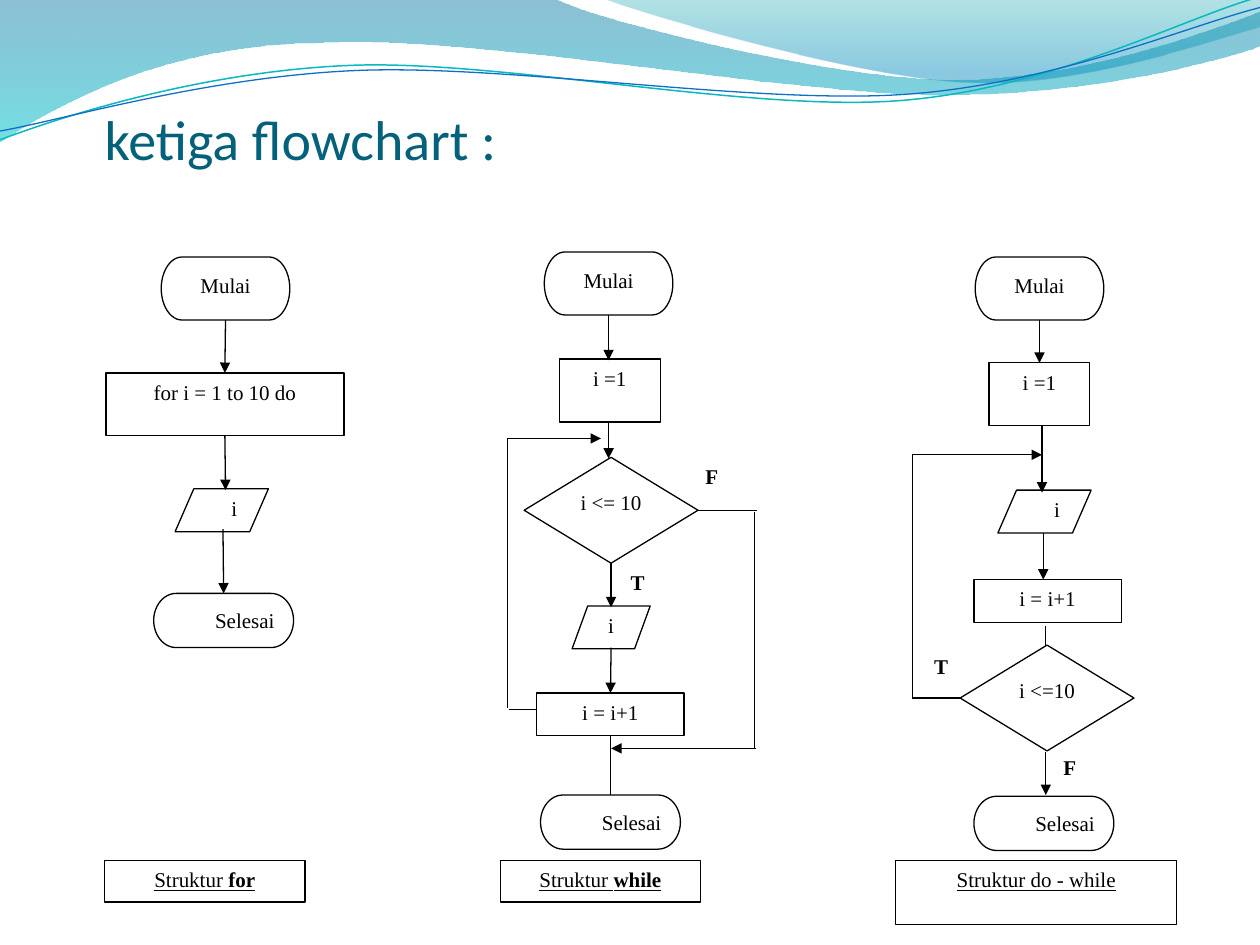
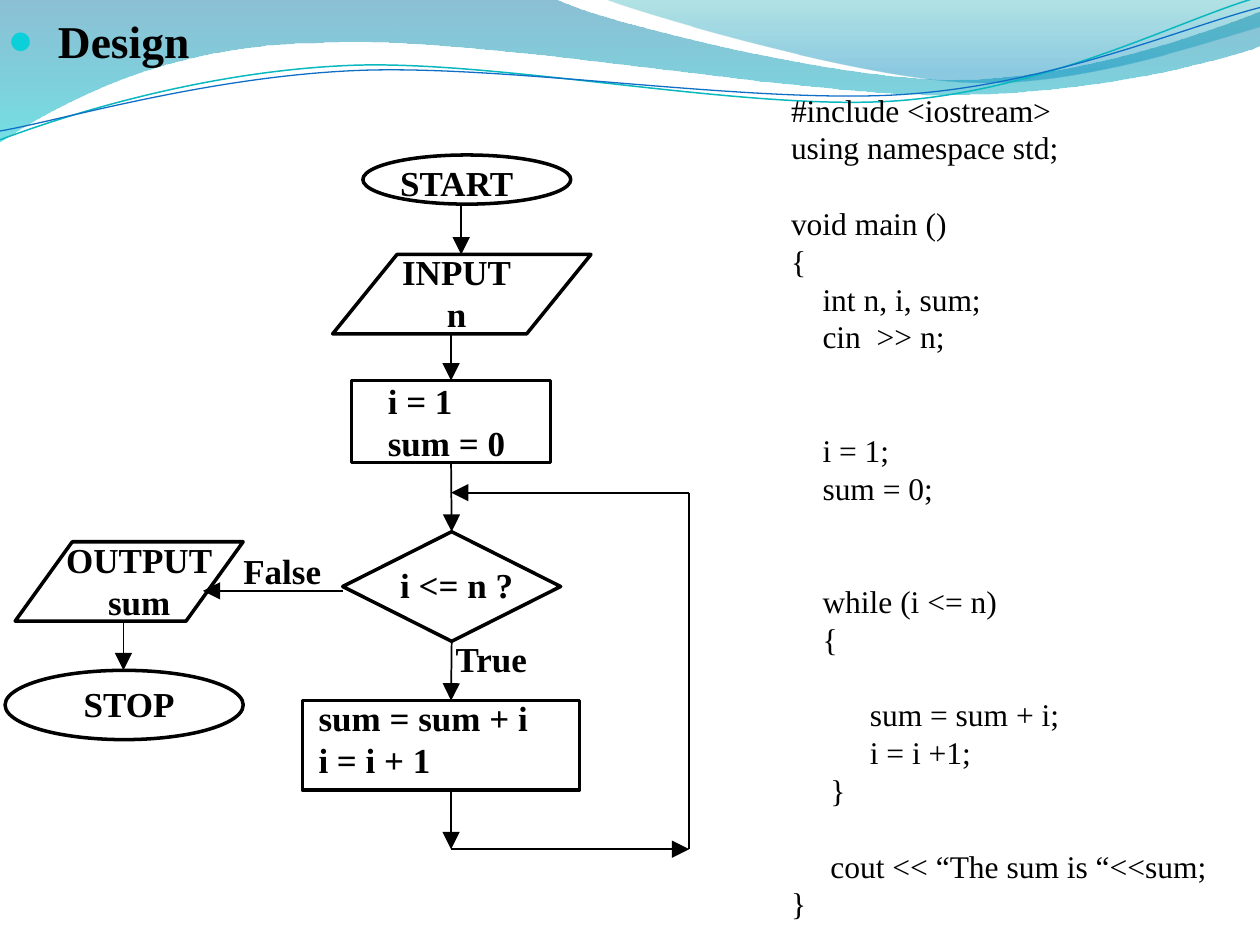
"""Build two slides of loop flowcharts on a shared wave background."""
from lxml import etree
from pptx import Presentation
from pptx.dml.color import RGBColor
from pptx.enum.shapes import MSO_CONNECTOR, MSO_SHAPE
from pptx.enum.text import MSO_ANCHOR, PP_ALIGN
from pptx.oxml.ns import qn
from pptx.util import Inches, Pt

C = {
    "ink": "000000", "paper": "FFFFFF", "title": "04617B", "bullet": "0BD0D9",
    "deep": "0074A1", "aqua": "00C6CF", "teal": "00A1A9", "sky": "008BBF",
    "wave_teal": "0AB8BF", "wave_blue": "0F6FC6",
}
RGB = {name: RGBColor.from_string(value) for name, value in C.items()}
SERIF = "Times New Roman"
LEFT, CENTER, RIGHT = PP_ALIGN.LEFT, PP_ALIGN.CENTER, PP_ALIGN.RIGHT
END, IO = MSO_SHAPE.FLOWCHART_TERMINATOR, MSO_SHAPE.FLOWCHART_DATA
TEST, STEP = MSO_SHAPE.FLOWCHART_DECISION, MSO_SHAPE.FLOWCHART_PROCESS
RECT = MSO_SHAPE.RECTANGLE


def format_text(tf, size, bold=None, align=LEFT, color="ink", font=SERIF, spacing=None):
    tf.word_wrap = True
    for p in tf.paragraphs:
        p.alignment = align
        if spacing:
            p.line_spacing = Pt(spacing)
        for r in p.runs:
            r.font.size, r.font.name = Pt(size), font
            r.font.color.rgb = RGB[color]
            if bold is not None:
                r.font.bold = bold


def add_line(s, nodes, start, end, width, head=None):
    ends = [(0, 0) if isinstance(e[0], str) else e for e in (start, end)]
    c = s.shapes.add_connector(MSO_CONNECTOR.STRAIGHT, *[Inches(v) for e in ends for v in e])
    if isinstance(start[0], str):
        c.begin_connect(nodes[start[0]], start[1])
    if isinstance(end[0], str):
        c.end_connect(nodes[end[0]], end[1])
    c.line.color.rgb, c.line.width = RGB["ink"], Pt(width)
    if head:
        etree.SubElement(c.line._get_or_add_ln(), qn("a:tailEnd"),
                         type="triangle", w=head, len=head)
    etree.SubElement(c.element.spPr, qn("a:effectLst"))


prs = Presentation()
prs.slide_width, prs.slide_height = Inches(10), Inches(7.5)

s = prs.slides.add_slide(prs.slide_layouts[5])
waves = [
    ([(0, -0.01), (4.4, -0.01), (4.76, 0.17, 6.64, 0.63, 7.58, 0.63),
      (8.53, 0.63, 9.58, 0.26, 10, 0.09), (10.01, 0.36),
      (9.83, 0.44, 8.7, 0.76, 7.46, 0.75), (6.22, 0.75, 3.82, 0.28, 2.57, 0.34),
      (1.29, 0.35, 0.46, 0.83, -0.01, 1.13)],
     [("deep", 0, 45), ("aqua", 1, 55)], None),
    ([(4.79, -0.01), (5.09, 0.11, 6.82, 0.62, 7.69, 0.65),
      (8.56, 0.69, 9.61, 0.32, 10, 0.21), (10, 0)],
     [("teal", 0, 30), ("sky", 0.8, 45)], None),
    ([(0, 1.11), (0.48, 0.93, 1.58, 0.57, 2.77, 0.52),
      (3.95, 0.47, 5.93, 0.89, 7.13, 0.8), (8.33, 0.71, 9.38, 0.15, 9.98, -0.02)],
     None, ("wave_teal", 0.85)),
    ([(0, 1.04), (0.47, 0.96, 1.64, 0.61, 2.83, 0.56),
      (4.03, 0.51, 5.97, 0.83, 7.17, 0.75), (8.36, 0.67, 9.41, 0.21, 10, 0.06)],
     None, ("wave_blue", 0.75)),
]
for i, (parts, stops, stroke) in enumerate(waves):
    points = [(x * 1000, y * 1000) for part in parts for x, y in zip(part[::2], part[1::2])]
    fb = s.shapes.build_freeform(*points[0], scale=914.4)
    fb.add_line_segments(points[1:], close=bool(stops))
    wave = fb.convert_to_shape()
    outline = wave.element.spPr.find(".//" + qn("a:path"))
    segments = iter(list(outline)[1:])
    for part in parts[1:]:
        segment = next(segments)
        if len(part) == 6:
            segment.tag = qn("a:cubicBezTo")
            for _ in range(2):
                control = next(segments)
                segment.append(control[0])
                outline.remove(control)
    wave.shadow.inherit = False
    if stops:
        wave.line.fill.background()
        wave.fill.gradient()
        wave.fill.gradient_angle = 270
        for stop, (color, position, alpha) in zip(wave.fill.gradient_stops, stops):
            stop.color.rgb, stop.position = RGB[color], position
        for clr, stop in zip(wave.element.spPr.iter(qn("a:srgbClr")), stops):
            etree.SubElement(clr, qn("a:alpha"), val=str(stop[2] * 1000))
    else:
        wave.fill.background()
        wave.line.color.rgb, wave.line.width = RGB[stroke[0]], Pt(stroke[1])
    wave.element[0][0].set("id", str(20 + i))
    prs.slide_master.shapes.element.insert(2 + i, wave.element)

title = s.shapes.title
title.left, title.top, title.width, title.height = [Inches(v) for v in (0.83, 0.72, 8.93, 0.64)]
tf = title.text_frame
tf.text = "ketiga flowchart :"
tf.vertical_anchor = MSO_ANCHOR.BOTTOM
tf.margin_left = tf.margin_right = tf.margin_bottom = 0
format_text(tf, 32, color="title", font="Calibri")

add_line(s, {}, (8.3, 4.97), (8.3, 5.47), 0.75, "med")
steps = [
    ("for_start", END, 1.28, 2.04, 1.02, 0.5, "Mulai", CENTER),
    ("for_loop", RECT, 0.84, 2.96, 1.89, 0.5, "for i = 1 to 10 do", CENTER),
    ("for_print", IO, 1.39, 3.88, 0.74, 0.34, "i", RIGHT),
    ("for_end", END, 1.22, 4.71, 1.11, 0.43, "Selesai", RIGHT),
    ("while_start", END, 4.32, 2, 1.02, 0.5, "Mulai", CENTER),
    ("while_init", RECT, 4.44, 2.85, 0.8, 0.5, "i =1", CENTER),
    ("while_test", TEST, 4.16, 3.63, 1.38, 0.84, "i <= 10", CENTER),
    ("while_print", IO, 4.54, 4.81, 0.62, 0.34, "i", CENTER),
    ("while_next", STEP, 4.26, 5.5, 1.17, 0.34, "i = i+1", CENTER),
    ("while_end", END, 4.29, 6.31, 1.11, 0.43, "Selesai", RIGHT),
    ("do_start", END, 7.74, 2.04, 1.02, 0.5, "Mulai", CENTER),
    ("do_init", RECT, 7.85, 2.88, 0.8, 0.5, "i =1", CENTER),
    ("do_print", IO, 7.92, 3.89, 0.74, 0.34, "i", RIGHT),
    ("do_next", STEP, 7.73, 4.6, 1.17, 0.34, "i = i+1", CENTER),
    ("do_test", TEST, 7.62, 5.12, 1.38, 0.84, "i <=10", CENTER),
    ("do_end", END, 7.73, 6.32, 1.11, 0.43, "Selesai", RIGHT),
    ("for_name", RECT, 0.83, 6.83, 1.59, 0.33, "Struktur |for", CENTER),
    ("while_name", RECT, 3.97, 6.83, 1.59, 0.33, "Struktur |while", CENTER),
    ("do_name", RECT, 7.11, 6.83, 2.23, 0.51, "Struktur do - while", CENTER),
]
nodes = {}
for name, kind, x, y, w, h, text, align in steps:
    sp = s.shapes.add_shape(kind, Inches(x), Inches(y), Inches(w), Inches(h))
    nodes[name] = sp
    sp.shadow.inherit = False
    sp.fill.solid()
    sp.fill.fore_color.rgb = RGB["paper"]
    sp.line.color.rgb, sp.line.width = RGB["ink"], Pt(0.75)
    tf = sp.text_frame
    tf.vertical_anchor = MSO_ANCHOR.TOP
    tf.margin_left = tf.margin_right = Inches(0.1 if align == RIGHT else 0.02)
    plain, _, strong = text.partition("|")
    p = tf.paragraphs[0]
    p.text = plain
    if strong:
        r = p.add_run()
        r.text = strong
        r.font.bold = True
    format_text(tf, 12, align=align)
    if name.endswith("_name"):
        for r in p.runs:
            r.font.underline = True

branches = [("F", 5.36, 3.63), ("T", 4.77, 4.47), ("T", 7.18, 5.14), ("F", 8.2, 5.94)]
for text, x, y in branches:
    tf = s.shapes.add_textbox(Inches(x), Inches(y), Inches(0.58), Inches(0.5)).text_frame
    tf.text = text
    format_text(tf, 12, True, CENTER)

arrows = [
    (("for_start", 2), ("for_loop", 0)), (("for_loop", 2), (1.79, 3.89)),
    ((1.77, 4.2), ("for_end", 0)),
    (("while_start", 2), (4.83, 2.86)), ((4.83, 3.35), (4.83, 3.64)),
    (("while_test", 2), (4.85, 4.82)), ((4.85, 5.14), ("while_next", 0)),
    ((6, 5.94), (4.85, 5.94)), ((4.03, 3.48), (4.77, 3.48)),
    (("do_start", 2), ("do_init", 0)), ((8.27, 3.38), (8.27, 3.91)),
    ((8.28, 4.23), (8.28, 4.6)), ((8.3, 5.97), (8.3, 6.31)),
    ((7.24, 3.61), (8.27, 3.61)),
]
plain_lines = [
    (("while_next", 2), ("while_end", 0)), (("while_test", 3), (6.01, 4.05)),
    ((5.99, 4.06), (5.99, 5.94)), ((4.04, 5.63), (4.26, 5.63)),
    ((4.03, 3.48), (4.03, 5.62)), (("do_test", 1), (7.24, 5.54)),
    ((7.24, 3.61), (7.24, 5.55)),
]
for group, head in ((arrows, "med"), (plain_lines, None)):
    for start, end in group:
        add_line(s, nodes, start, end, 0.75, head)

s = prs.slides.add_slide(prs.slide_layouts[1])
title = s.shapes.title.element
title.getparent().remove(title)
body = s.placeholders[1]
body.left, body.top, body.width, body.height = [Inches(v) for v in (-0.04, 0.05, 3.64, 3.62)]
tf = body.text_frame
tf.text = "Design"
format_text(tf, 26, True)
p = tf.paragraphs[0]
p.space_before = Pt(5.2)
pPr = p._p.get_or_add_pPr()
pPr.set("marL", str(Inches(0.4)))
pPr.set("indent", str(-Inches(0.4)))
buClr = etree.SubElement(pPr, qn("a:buClr"))
etree.SubElement(buClr, qn("a:srgbClr"), val=C["bullet"])
etree.SubElement(pPr, qn("a:buSzPct"), val="95000")
etree.SubElement(pPr, qn("a:buChar"), char="●")

outlines = [
    ("start", MSO_SHAPE.OVAL, 2.88, 1.23, 1.65, 0.39, None),
    ("input", MSO_SHAPE.PARALLELOGRAM, 2.64, 2.02, 2.05, 0.63, 0.81),
    ("init", RECT, 2.79, 3.02, 1.58, 0.65, None),
    ("test", MSO_SHAPE.DIAMOND, 2.72, 4.22, 1.73, 0.87, None),
    ("work", RECT, 2.4, 5.56, 2.2, 0.71, None),
    ("output", MSO_SHAPE.PARALLELOGRAM, 0.12, 4.3, 1.81, 0.63, 0.72),
    ("stop", MSO_SHAPE.OVAL, 0.04, 5.32, 1.89, 0.55, None),
]
nodes = {}
for name, kind, x, y, w, h, slant in outlines:
    sp = s.shapes.add_shape(kind, Inches(x), Inches(y), Inches(w), Inches(h))
    nodes[name] = sp
    sp.shadow.inherit = False
    sp.fill.background()
    sp.line.color.rgb, sp.line.width = RGB["ink"], Pt(2)
    if slant:
        sp.adjustments[0] = slant

labels = [
    ("START", 2.8, 1.23, 1.65, CENTER), ("INPUT\nn", 2.56, 1.94, 2.13, CENTER),
    ("i = 1\nsum = 0", 2.98, 2.96, 1.2, LEFT), ("i <= n ?", 2.8, 4.42, 1.65, CENTER),
    ("True", 3.27, 5.01, 1.26, CENTER), ("False", 1.69, 4.31, 1.1, CENTER),
    ("sum = sum + i\ni = i + 1", 2.43, 5.48, 2.34, LEFT),
    ("OUTPUT\nsum", 0.28, 4.22, 1.65, CENTER), ("STOP", 0.2, 5.37, 1.65, CENTER),
]
for text, x, y, w, align in labels:
    h = 0.77 if "\n" in text else 0.43
    tf = s.shapes.add_textbox(Inches(x), Inches(y), Inches(w), Inches(h)).text_frame
    tf.text = text
    tf.vertical_anchor = MSO_ANCHOR.MIDDLE
    format_text(tf, 20, True, align, spacing=24)

arrows = [
    ((3.66, 1.62), (3.66, 2.02)), ((3.58, 2.65), ("init", 0)),
    (("init", 2), ("test", 0)), (("test", 2), (3.58, 5.56)),
    ((3.58, 6.27), (3.58, 6.74)), ((3.58, 6.74), (5.47, 6.74)),
    ((5.47, 3.91), (3.58, 3.91)), ((2.72, 4.69), (1.61, 4.69)),
    ((0.98, 4.93), (0.98, 5.32)),
]
for start, end in arrows:
    add_line(s, nodes, start, end, 1, "lg")
add_line(s, nodes, (5.47, 3.91), (5.47, 6.74), 1)

code = [
    ("#include <iostream>", 0, 0), ("using namespace std;", 0, 0),
    ("void main ()", 1, 0), ("{", 0, 0), ("int n, i, sum;", 0, 4),
    ("cin  >> n;", 0, 4), ("i = 1;", 2, 4), ("sum = 0;", 0, 4),
    ("while (i <= n)", 2, 4), ("{", 0, 4), ("sum = sum + i;", 1, 10),
    ("i = i +1;", 0, 10), ("}", 0, 5), ("cout << “The sum is “<<sum;", 1, 5),
    ("}", 0, 0),
]
tf = s.shapes.add_textbox(Inches(6.18), Inches(0.67), Inches(3.8), Inches(6.23)).text_frame
tf.text = "\n".join(text for text, gap, depth in code)
format_text(tf, 18, spacing=21.6)
for p, (text, gap, depth) in zip(tf.paragraphs, code):
    p.space_before = Pt(gap * 21.6)
    p._p.get_or_add_pPr().set("marL", str(Pt(depth * 4.5)))

prs.save("out.pptx")
